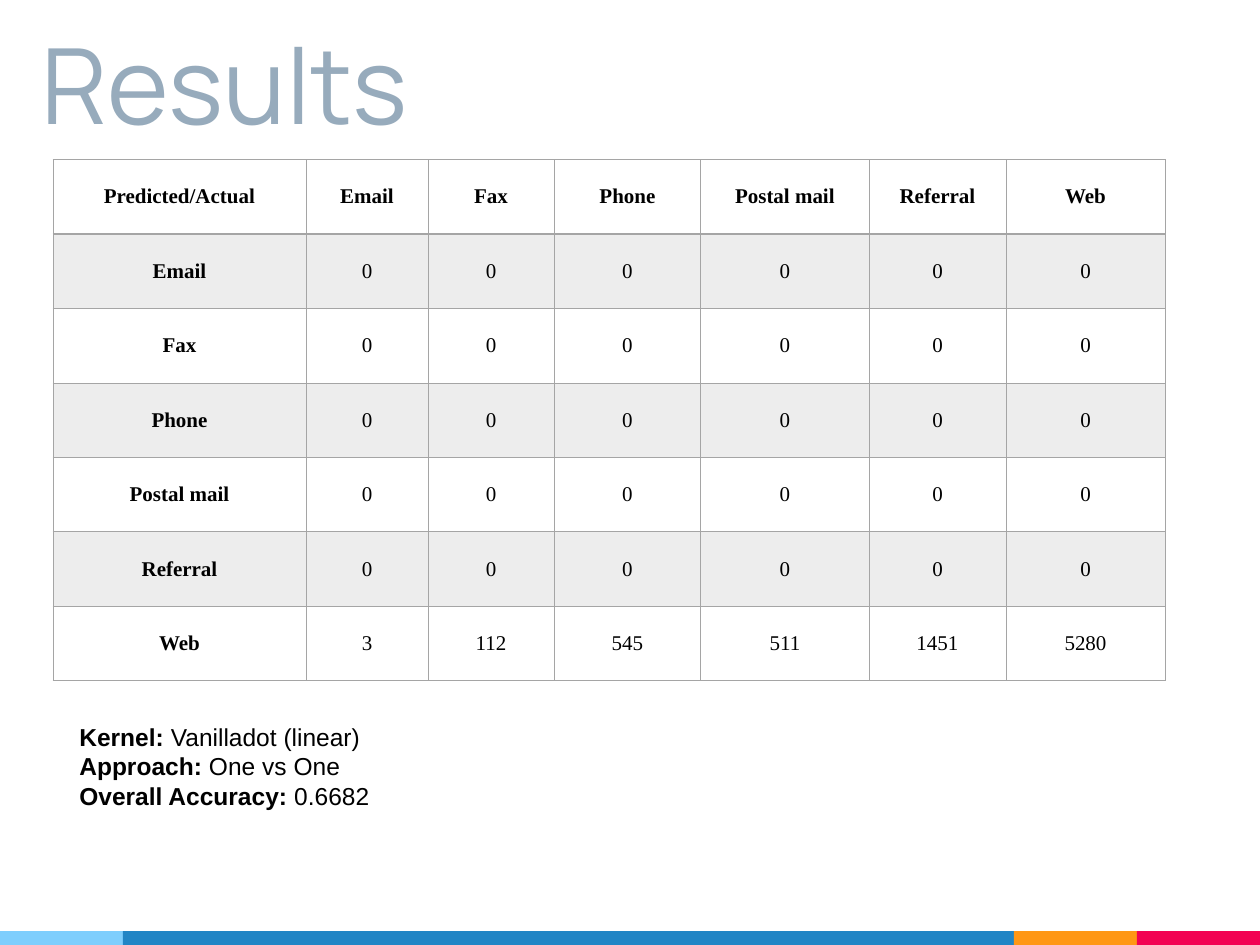
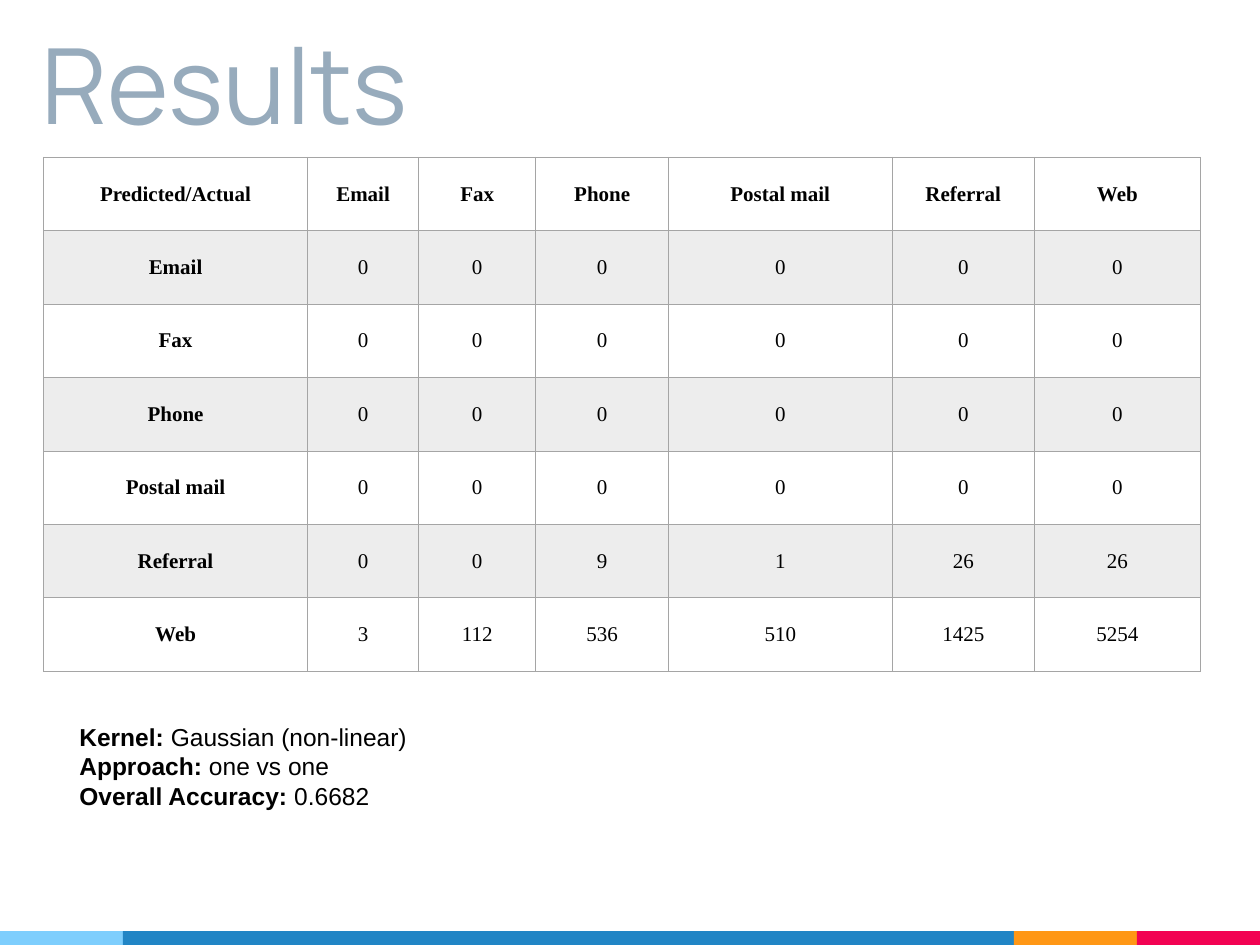
from itertools import accumulate
from typing import Any, NamedTuple

from lxml.etree import SubElement
from pptx import Presentation
from pptx.dml.color import RGBColor
from pptx.enum.shapes import MSO_SHAPE
from pptx.enum.text import MSO_ANCHOR as Anchor, MSO_AUTO_SIZE as AutoSize, PP_ALIGN as Align
from pptx.oxml.ns import qn
from pptx.util import Cm, Pt

SLIDE_W, SLIDE_H = 25.4, 19.05
BAND_H = 0.28
GRID, STRIPE = "A5A5A5", "EDEDED"
THIN, THICK = Pt(0.5), Pt(1)
CHANNELS = ["Email", "Fax", "Phone", "Postal mail", "Referral", "Web"]


class Band(NamedTuple):
    width: float
    color: str


class TextStyle(NamedTuple):
    name: str
    size: int
    color: str


class Result(NamedTuple):
    left: float
    top: float
    col_widths: list[float]
    row_height: float
    counts: dict[str, list[int]]
    summary: list[tuple[str, str]]
    summary_width: float


BANDS = [Band(2.48, "7ECEFD"), Band(17.96, "2185C5"), Band(2.48, "FF9715"), Band(2.48, "F20253")]
TITLE = TextStyle("Manrope", 60, "97ABBC")
SUMMARY = TextStyle("Arial", 14, "000000")
CELL = TextStyle("Times New Roman", 12, "000000")

RESULTS = [
    Result(
        1.07, 3.22, [5.1, 2.46, 2.54, 2.96, 3.39, 2.76, 3.21], 1.5,
        {"Web": [3, 112, 545, 511, 1451, 5280]},
        [("Kernel: ", "Vanilladot (linear)"), ("Approach: ", "One vs One"),
         ("Overall Accuracy: ", "0.6682")],
        6.65,
    ),
    Result(
        0.88, 3.17, [5.32, 2.24, 2.36, 2.68, 4.5, 2.88, 3.33], 1.48,
        {"Referral": [0, 0, 9, 1, 26, 26], "Web": [3, 112, 536, 510, 1425, 5254]},
        [("Kernel: ", "Gaussian (non-linear)"), ("Approach:", " one vs one"),
         ("Overall Accuracy: ", "0.6682")],
        12.19,
    ),
]


def rgb(color: str) -> RGBColor:
    return RGBColor.from_string(color)


def set_format(target: Any, values: dict[str, Any]) -> None:
    for name, value in values.items():
        setattr(target, name, value)


def margins(cm: float) -> dict[str, Any]:
    return {f"margin_{side}": Cm(cm) for side in ("left", "top", "right", "bottom")}


def add_run(p: Any, text: str, style: TextStyle, bold: bool = False) -> None:
    r = p.add_run()
    r.text = text
    set_format(r.font, {"name": style.name, "size": Pt(style.size), "bold": bold})
    r.font.color.rgb = rgb(style.color)


def add_bands(s: Any) -> None:
    ends = accumulate(band.width for band in BANDS)
    for band, end in zip(BANDS, ends):
        sp = s.shapes.add_shape(MSO_SHAPE.RECTANGLE, Cm(end - band.width), Cm(SLIDE_H - BAND_H),
                                Cm(band.width), Cm(BAND_H))
        sp.shadow.inherit = False
        sp.fill.solid()
        sp.fill.fore_color.rgb = rgb(band.color)
        sp.line.fill.background()


def add_title(s: Any, text: str) -> None:
    tf = s.shapes.add_textbox(Cm(0.58), Cm(0), Cm(21.18), Cm(3.18)).text_frame
    set_format(tf, {"word_wrap": True, "auto_size": AutoSize.NONE,
                    "vertical_anchor": Anchor.BOTTOM, **margins(0.25)})
    add_run(tf.paragraphs[0], text, TITLE)


def add_summary(s: Any, result: Result) -> None:
    tf = s.shapes.add_textbox(Cm(1.35), Cm(14.43), Cm(result.summary_width), Cm(2.06)).text_frame
    set_format(tf, {"word_wrap": True, "auto_size": AutoSize.SHAPE_TO_FIT_TEXT})
    for i, (label, value) in enumerate(result.summary):
        p = tf.add_paragraph() if i else tf.paragraphs[0]
        add_run(p, label, SUMMARY, bold=True)
        add_run(p, value, SUMMARY)


def set_borders(cell: Any, top: int, bottom: int) -> None:
    tc_pr = cell._tc.get_or_add_tcPr()
    for side, width in {"L": THIN, "R": THIN, "T": top, "B": bottom}.items():
        ln = SubElement(tc_pr, qn(f"a:ln{side}"), w=str(int(width)))
        SubElement(SubElement(ln, qn("a:solidFill")), qn("a:srgbClr"), val=GRID)


def add_confusion_matrix(s: Any, result: Result) -> None:
    rows = [["Predicted/Actual", *CHANNELS]]
    rows += [[name, *result.counts.get(name, [0] * len(CHANNELS))] for name in CHANNELS]
    table = s.shapes.add_table(len(rows), len(rows[0]), Cm(result.left), Cm(result.top),
                               Cm(sum(result.col_widths)),
                               Cm(result.row_height * len(rows))).table
    set_format(table, {"first_row": False, "horz_banding": False})
    for column, width in zip(table.columns, result.col_widths):
        column.width = Cm(width)
    for i, row in enumerate(rows):
        table.rows[i].height = Cm(result.row_height)
        for j, value in enumerate(row):
            cell = table.cell(i, j)
            set_format(cell, {"vertical_anchor": Anchor.MIDDLE, **margins(0.18)})
            set_borders(cell, THICK if i == 1 else THIN, THICK if i == 0 else THIN)
            if i % 2:
                cell.fill.solid()
                cell.fill.fore_color.rgb = rgb(STRIPE)
            else:
                cell.fill.background()
            p = cell.text_frame.paragraphs[0]
            p.alignment = Align.CENTER
            add_run(p, str(value), CELL, bold=i == 0 or j == 0)


def main() -> None:
    prs = Presentation()
    set_format(prs, {"slide_width": Cm(SLIDE_W), "slide_height": Cm(SLIDE_H)})
    for result in RESULTS:
        s = prs.slides.add_slide(prs.slide_layouts[6])
        add_bands(s)
        add_title(s, "Results")
        add_summary(s, result)
        add_confusion_matrix(s, result)
    prs.save("out.pptx")


if __name__ == "__main__":
    main()
